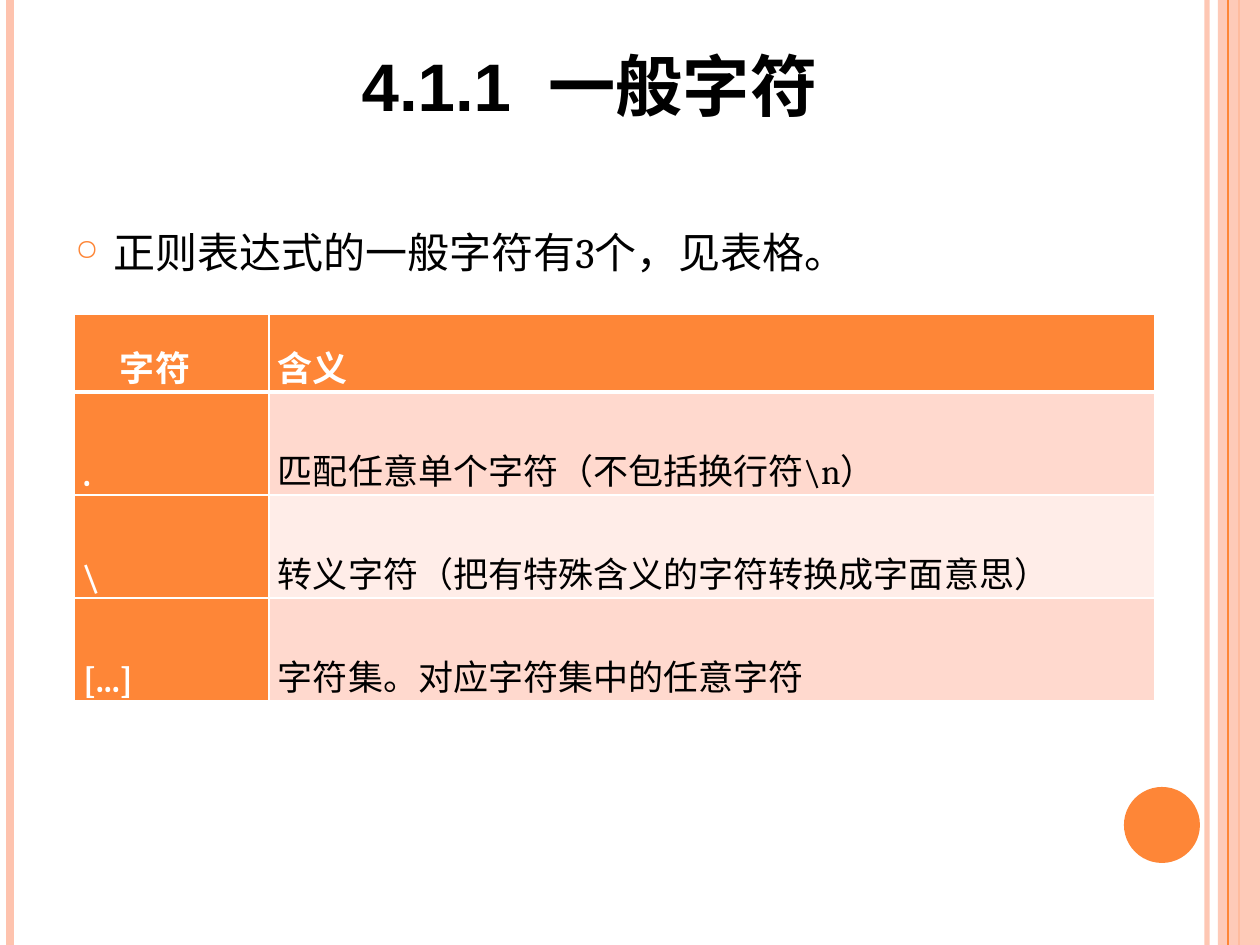
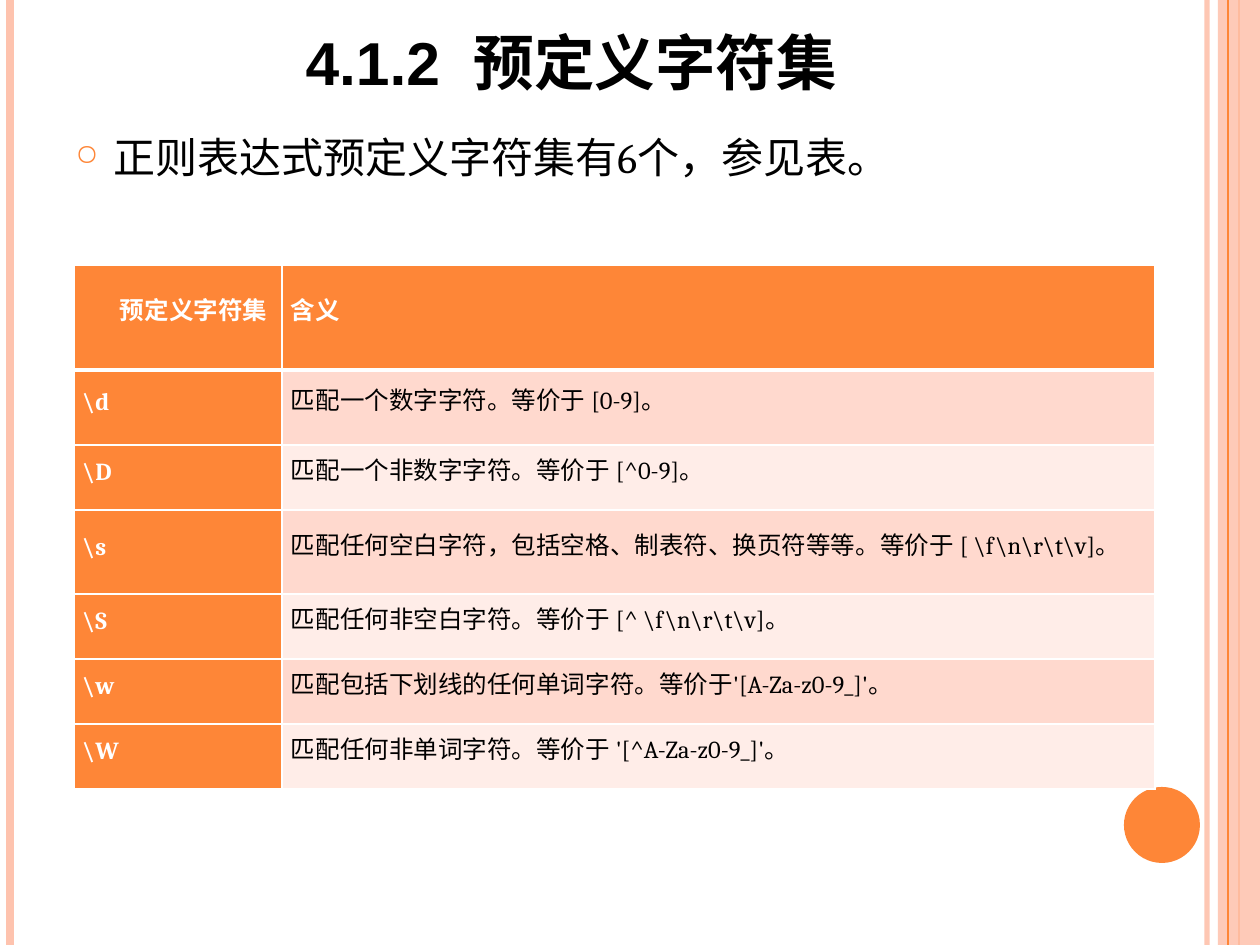
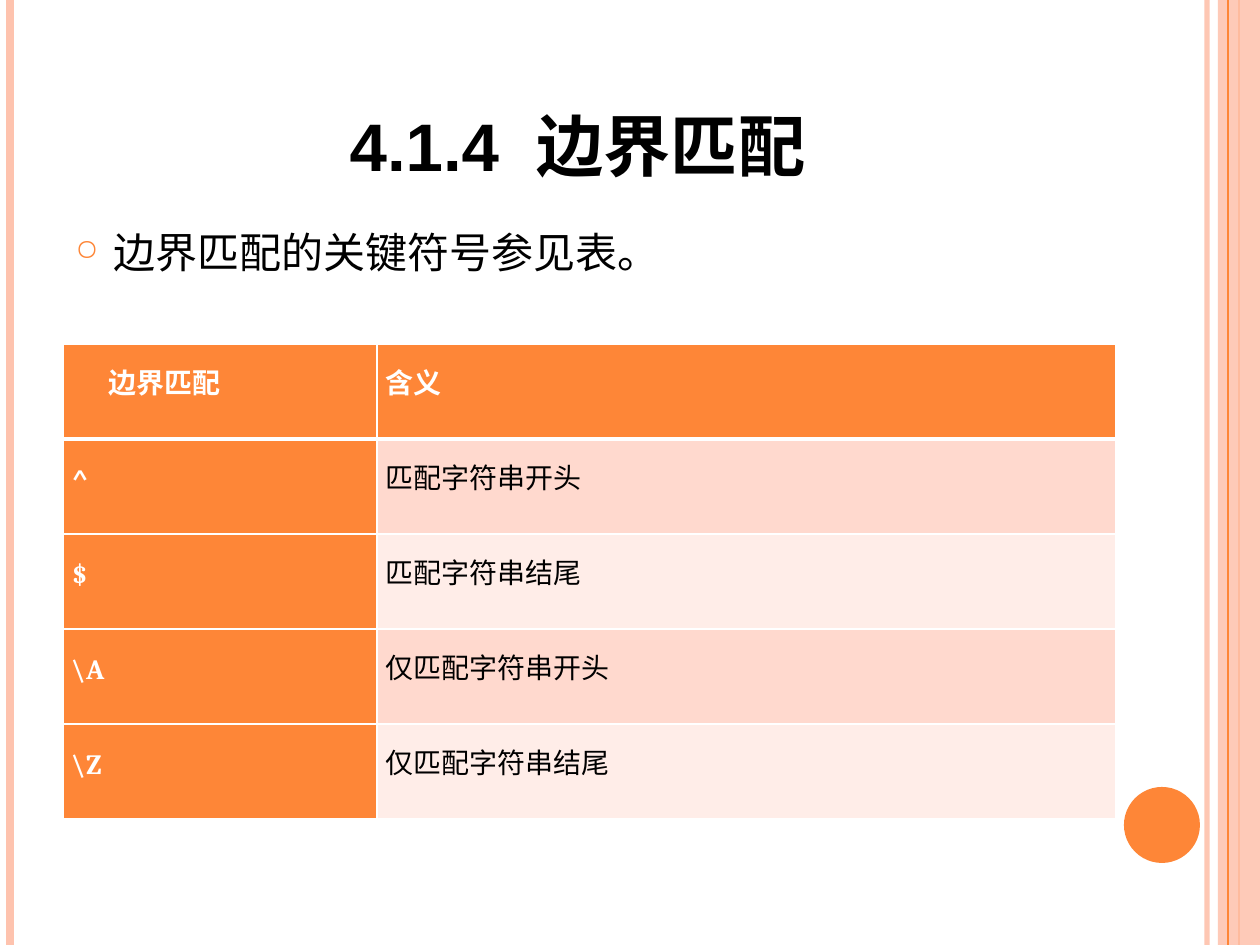
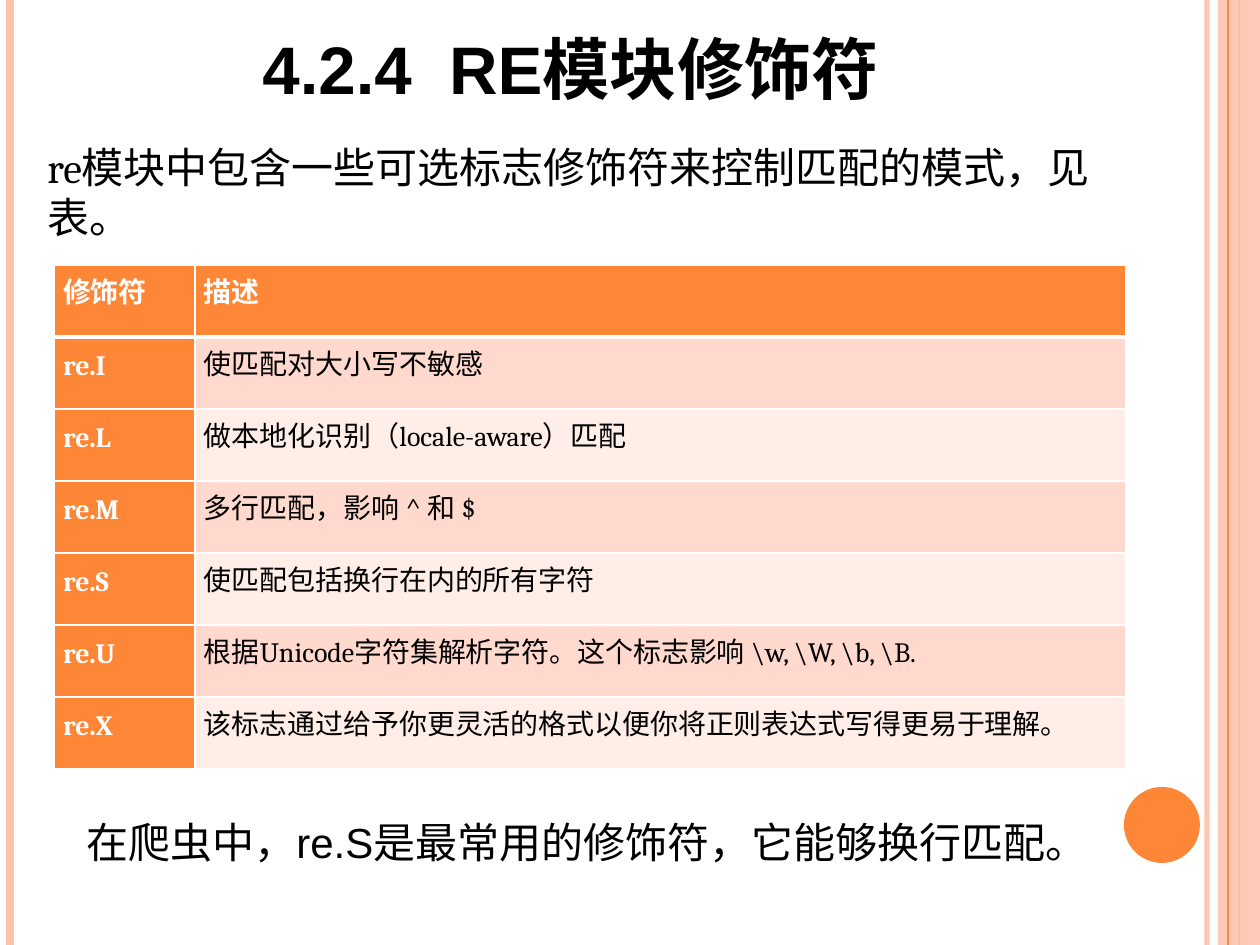
from lxml.etree import SubElement
from pptx import Presentation
from pptx.dml.color import RGBColor
from pptx.enum.shapes import MSO_CONNECTOR, MSO_SHAPE
from pptx.enum.text import MSO_ANCHOR, PP_ALIGN
from pptx.oxml.ns import qn
from pptx.util import Pt

SCALE = 914400 / 126  # EMU per pixel
WIDTH, HEIGHT = 1260, 945

ORANGE = RGBColor(0xFE, 0x86, 0x37)
PEACH = RGBColor(0xFE, 0xC3, 0xAE)
BAND_DARK = RGBColor(0xFF, 0xD9, 0xCE)
BAND_LIGHT = RGBColor(0xFF, 0xED, 0xE8)
WHITE = RGBColor(0xFF, 0xFF, 0xFF)
BLACK = RGBColor(0, 0, 0)

TITLE_FONT, BODY_FONT = "Arial", "Cambria"


def px(pixels):
    return round(pixels * SCALE)


def set_alpha(element, percent):
    color = next(element.iter(qn("a:srgbClr")))
    SubElement(color, qn("a:alpha"), val=str(percent * 1000))


def write(frame, text, size=24, font=BODY_FONT, color=BLACK, bold=False,
          align=None, line_spacing=None, before=None, margin=0, indent=0,
          bullet=None, small_caps=False):
    """Fill a text frame with one formatted paragraph."""
    paragraph = frame.paragraphs[0]
    paragraph.alignment = align
    paragraph.line_spacing = line_spacing
    paragraph.space_before = before
    layout = paragraph._p.get_or_add_pPr()
    layout.set("marL", str(px(margin)))
    layout.set("indent", str(px(indent)))
    if bullet:
        bullet_color = SubElement(layout, qn("a:buClr"))
        SubElement(bullet_color, qn("a:srgbClr"), val=str(ORANGE))
        SubElement(layout, qn("a:buSzPct"), val="70000")
        SubElement(layout, qn("a:buChar"), char=bullet)
    run = paragraph.add_run()
    run.text = text
    run.font.size = Pt(size)
    run.font.name = font
    run.font.bold = bold
    run.font.color.rgb = color
    character = run._r.get_or_add_rPr()
    character.set("lang", "zh-CN")
    if small_caps:
        character.set("cap", "small")


def add_text(slide, box, text, anchor=MSO_ANCHOR.TOP, **text_format):
    frame = slide.shapes.add_textbox(*map(px, box)).text_frame
    frame.word_wrap = True
    frame.vertical_anchor = anchor
    write(frame, text, **text_format)


def add_stripe(slide, x, color, weight, alpha=None):
    stripe = slide.shapes.add_connector(
        MSO_CONNECTOR.STRAIGHT, px(x), 0, px(x), px(HEIGHT))
    stripe.line.color.rgb = color
    stripe.line.width = Pt(weight)
    properties = stripe._element.spPr
    if alpha:
        set_alpha(properties, alpha)
    SubElement(properties, qn("a:effectLst"))


def add_filled(slide, kind, box, color):
    filled = slide.shapes.add_shape(kind, *map(px, box))
    filled.shadow.inherit = False
    filled.fill.solid()
    filled.fill.fore_color.rgb = color
    filled.line.fill.background()
    return filled


def add_frame(slide):
    """Side stripes and the page disc that every slide shares."""
    add_stripe(slide, 1207, PEACH, 3, alpha=93)
    add_stripe(slide, 10, PEACH, 4.5)
    add_stripe(slide, 1239, ORANGE, 1.5)
    band = add_filled(slide, MSO_SHAPE.RECTANGLE, (1218, 0, 42, HEIGHT), PEACH)
    set_alpha(band._element.spPr, 87)
    add_stripe(slide, 1228, ORANGE, 0.75)
    add_filled(slide, MSO_SHAPE.OVAL, (1124, 787, 76, 76), ORANGE)


def add_title(slide, box, text, size=48):
    add_text(slide, box, text, anchor=MSO_ANCHOR.BOTTOM, size=size,
             font=TITLE_FONT, bold=True, align=PP_ALIGN.CENTER, small_caps=True)


def add_body(slide, box, text, bulleted=True):
    hanging = dict(margin=38, indent=-38, bullet="○") if bulleted else {}
    add_text(slide, box, text, before=Pt(6), **hanging)


def add_borders(cell, row):
    """White grid, with a thick rule under the header row."""
    weights = {"L": 1, "R": 1, "T": 3 if row == 1 else 1, "B": 3 if row == 0 else 1}
    properties = cell._tc.get_or_add_tcPr()
    for side, weight in weights.items():
        border = SubElement(properties, qn(f"a:ln{side}"), w=str(Pt(weight)))
        fill = SubElement(border, qn("a:solidFill"))
        SubElement(fill, qn("a:srgbClr"), val=str(WHITE))


def add_symbol_table(slide, origin, columns, heights, rows, size,
                     anchor=MSO_ANCHOR.MIDDLE, header_indent=37):
    box = (*origin, sum(columns), sum(heights))
    table = slide.shapes.add_table(len(rows), len(columns), *map(px, box)).table
    for column, width in zip(table.columns, columns):
        column.width = px(width)
    for row, (line, height) in enumerate(zip(rows, heights)):
        table.rows[row].height = px(height)
        for col, text in enumerate(line):
            cell = table.cell(row, col)
            heading = row == 0 or col == 0
            add_borders(cell, row)
            cell.fill.solid()
            band = BAND_DARK if row % 2 else BAND_LIGHT
            cell.fill.fore_color.rgb = ORANGE if heading else band
            cell.margin_left = cell.margin_right = px(9)
            cell.margin_top = cell.margin_bottom = 0
            cell.vertical_anchor = anchor
            write(cell.text_frame, text, size=size, bold=heading,
                  color=WHITE if heading else BLACK, line_spacing=Pt(11),
                  indent=header_indent if row == col == 0 else 0)


GENERAL_CHARACTERS = [
    ("字符", "含义"),
    (".", r"匹配任意单个字符（不包括换行符\n）"),
    ("\\", "转义字符（把有特殊含义的字符转换成字面意思）"),
    ("[...]", "字符集。对应字符集中的任意字符"),
]
PREDEFINED_SETS = [
    ("预定义字符集", "含义"),
    (r"\d", "匹配一个数字字符。等价于 [0-9]。"),
    (r"\D", "匹配一个非数字字符。等价于 [^0-9]。"),
    (r"\s", r"匹配任何空白字符，包括空格、制表符、换页符等等。等价于 [ \f\n\r\t\v]。"),
    (r"\S", r"匹配任何非空白字符。等价于 [^ \f\n\r\t\v]。"),
    (r"\w", "匹配包括下划线的任何单词字符。等价于'[A-Za-z0-9_]'。"),
    (r"\W", "匹配任何非单词字符。等价于 '[^A-Za-z0-9_]'。"),
]
BOUNDARIES = [
    ("边界匹配", "含义"),
    ("^", "匹配字符串开头"),
    ("$", "匹配字符串结尾"),
    (r"\A", "仅匹配字符串开头"),
    (r"\Z", "仅匹配字符串结尾"),
]
MODIFIERS = [
    ("修饰符", "描述"),
    ("re.I", "使匹配对大小写不敏感"),
    ("re.L", "做本地化识别（locale-aware）匹配"),
    ("re.M", "多行匹配，影响 ^ 和 $"),
    ("re.S", "使匹配包括换行在内的所有字符"),
    ("re.U", r"根据Unicode字符集解析字符。这个标志影响 \w, \W, \b, \B."),
    ("re.X", "该标志通过给予你更灵活的格式以便你将正则表达式写得更易于理解。"),
]

deck = Presentation()
deck.slide_width, deck.slide_height = px(WIDTH), px(HEIGHT)


def new_slide():
    slide = deck.slides.add_slide(deck.slide_layouts[6])
    add_frame(slide)
    return slide


# General characters
general = new_slide()
add_title(general, (63, 0, 1053, 135), "4.1.1  一般字符")
add_body(general, (63, 220, 1029, 672), "正则表达式的一般字符有3个，见表格。")
add_symbol_table(general, (74, 314), (195, 886), [78] + [103] * 3,
                 GENERAL_CHARACTERS, size=20, anchor=MSO_ANCHOR.BOTTOM)

# Predefined character sets
predefined = new_slide()
add_title(predefined, (25, 0, 1092, 107), "4.1.2  预定义字符集", size=43.2)
add_body(predefined, (63, 125, 1029, 767), "正则表达式预定义字符集有6个，参见表。")
add_symbol_table(predefined, (74, 265), (208, 873), [105, 75, 65, 84, 65, 65, 65],
                 PREDEFINED_SETS, size=14)

# Boundary matching
boundary = new_slide()
add_title(boundary, (63, 38, 1029, 157), "4.1.4  边界匹配")
add_body(boundary, (63, 220, 1029, 672), "边界匹配的关键符号参见表。")
add_symbol_table(boundary, (63, 344), (314, 739), [95] * 5, BOUNDARIES, size=16)

# Module modifiers
modifier = new_slide()
add_title(modifier, (54, 0, 1033, 117), "4.2.4  re模块修饰符")
add_body(modifier, (35, 135, 1091, 784),
         "re模块中包含一些可选标志修饰符来控制匹配的模式，见表。", bulleted=False)
add_symbol_table(modifier, (54, 265), (141, 931), [72] * 7, MODIFIERS, size=16,
                 header_indent=0)
add_text(modifier, (74, 810, 1012, 63),
         "在爬虫中，re.S是最常用的修饰符，它能够换行匹配。", font=TITLE_FONT)

deck.save("out.pptx")
